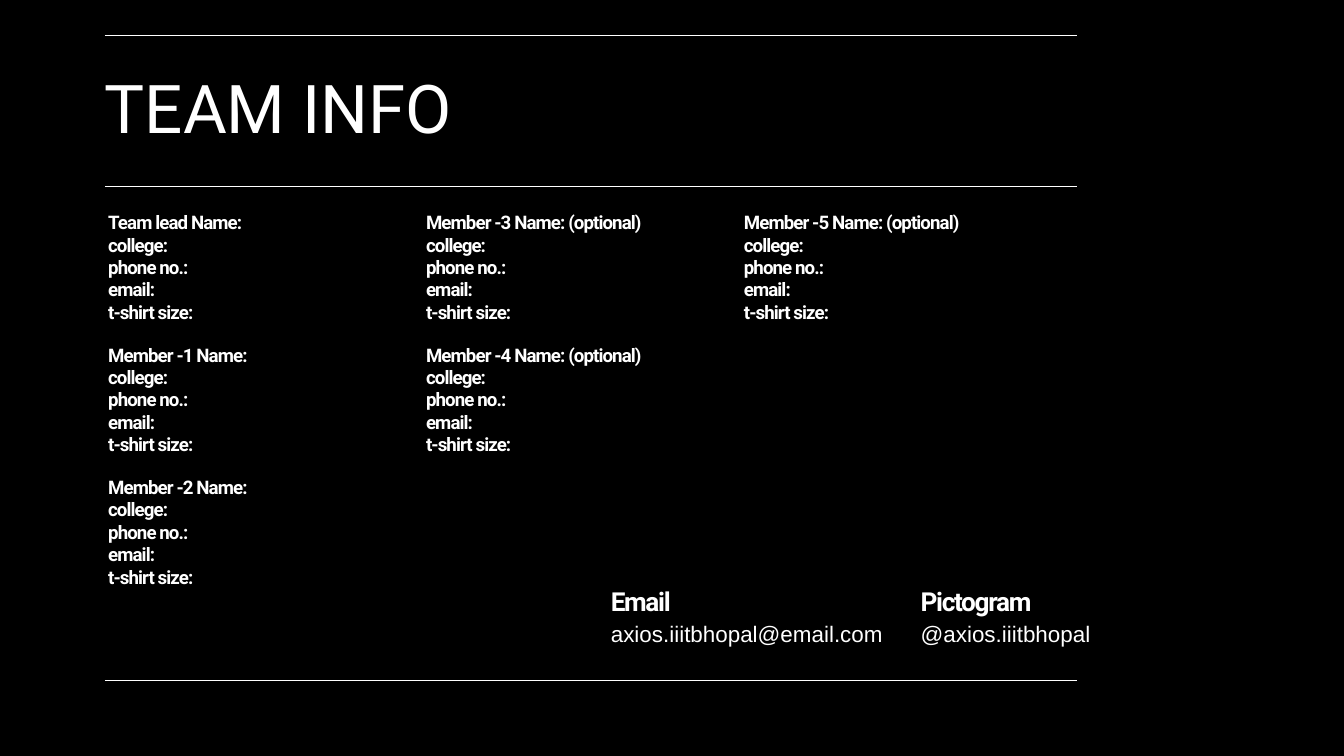
from lxml.etree import SubElement
from pptx import Presentation
from pptx.dml.color import RGBColor
from pptx.enum.shapes import MSO_CONNECTOR
from pptx.enum.text import MSO_AUTO_SIZE
from pptx.oxml.ns import qn
from pptx.util import Emu, Pt

TITLE = "TEAM INFO"
FIELDS = ["college:", "phone no.:", "email:", "t-shirt size:"]
MEMBER_COLUMNS = [
    ["Team lead Name:", "Member -1 Name:", "Member -2 Name:"],
    ["Member -3 Name: (optional)", "Member -4 Name: (optional)"],
    ["Member -5 Name: (optional)"],
]
CONTACTS = [
    (909, "Email", "axios.iiitbhopal@email.com"),
    (1370, "Pictogram", "@axios.iiitbhopal"),
]
RULES = [53, 277, 1012]

WHITE, BLACK = "FFFFFF", "000000"
PX = 9144
LEFT, RIGHT = 156, 1603
GRID_LEFT, GRID_TOP = 161, 314
COLUMN_STEP, ROW_STEP = 473, 197

TITLE_STYLE = {"font": {"name": "Roboto", "size": Pt(72)}, "leading": 72}
MEMBER_STYLE = {"font": {"name": "Roboto", "size": Pt(20), "bold": True},
                "leading": 24, "tracking": -100}
LABEL_STYLE = {"font": {"name": "Roboto", "size": Pt(28), "bold": True},
               "leading": 33.6, "tracking": -140}
HANDLE_STYLE = {"font": {"name": "Arial", "size": Pt(24)}, "leading": 28.8}
FRAME = {"margin_left": 0, "margin_top": 0, "margin_right": 0, "margin_bottom": 0,
         "word_wrap": True, "auto_size": MSO_AUTO_SIZE.SHAPE_TO_FIT_TEXT}


def px(value):
    return Emu(value * PX)


def color(value):
    return RGBColor.from_string(value)


def set_all(target, values):
    for name, value in values.items():
        setattr(target, name, value)


def add_text(slide, box, lines, style):
    frame = slide.shapes.add_textbox(*map(px, box)).text_frame
    set_all(frame, FRAME)
    for index, line in enumerate(lines):
        paragraph = frame.add_paragraph() if index else frame.paragraphs[0]
        paragraph.line_spacing = Pt(style["leading"])
        run = paragraph.add_run()
        run.text = line
        set_all(run.font, style["font"])
        run.font.color.rgb = color(WHITE)
        if "tracking" in style:
            run._r.get_or_add_rPr().set("spc", str(style["tracking"]))


def add_rule(slide, y):
    rule = slide.shapes.add_connector(
        MSO_CONNECTOR.STRAIGHT, px(LEFT), px(y), px(RIGHT), px(y))
    rule.line.color.rgb = color(WHITE)
    rule.line.width = Pt(0.75)
    SubElement(rule._element.spPr, qn("a:effectLst"))


def main():
    presentation = Presentation()
    presentation.slide_width, presentation.slide_height = px(2000), px(1125)
    slide = presentation.slides.add_slide(presentation.slide_layouts[6])
    slide.background.fill.solid()
    slide.background.fill.fore_color.rgb = color(BLACK)

    for y in RULES:
        add_rule(slide, y)
    add_text(slide, (LEFT, 118, 1448, 106), [TITLE], TITLE_STYLE)
    for column, members in enumerate(MEMBER_COLUMNS):
        for row, member in enumerate(members):
            box = (GRID_LEFT + column * COLUMN_STEP, GRID_TOP + row * ROW_STEP, 354, 168)
            add_text(slide, box, [member, *FIELDS], MEMBER_STYLE)
    for x, label, handle in CONTACTS:
        add_text(slide, (x, 871, 354, 47), [label], LABEL_STYLE)
        add_text(slide, (x, 923, 411, 41), [handle], HANDLE_STYLE)

    presentation.save("out.pptx")


if __name__ == "__main__":
    main()
